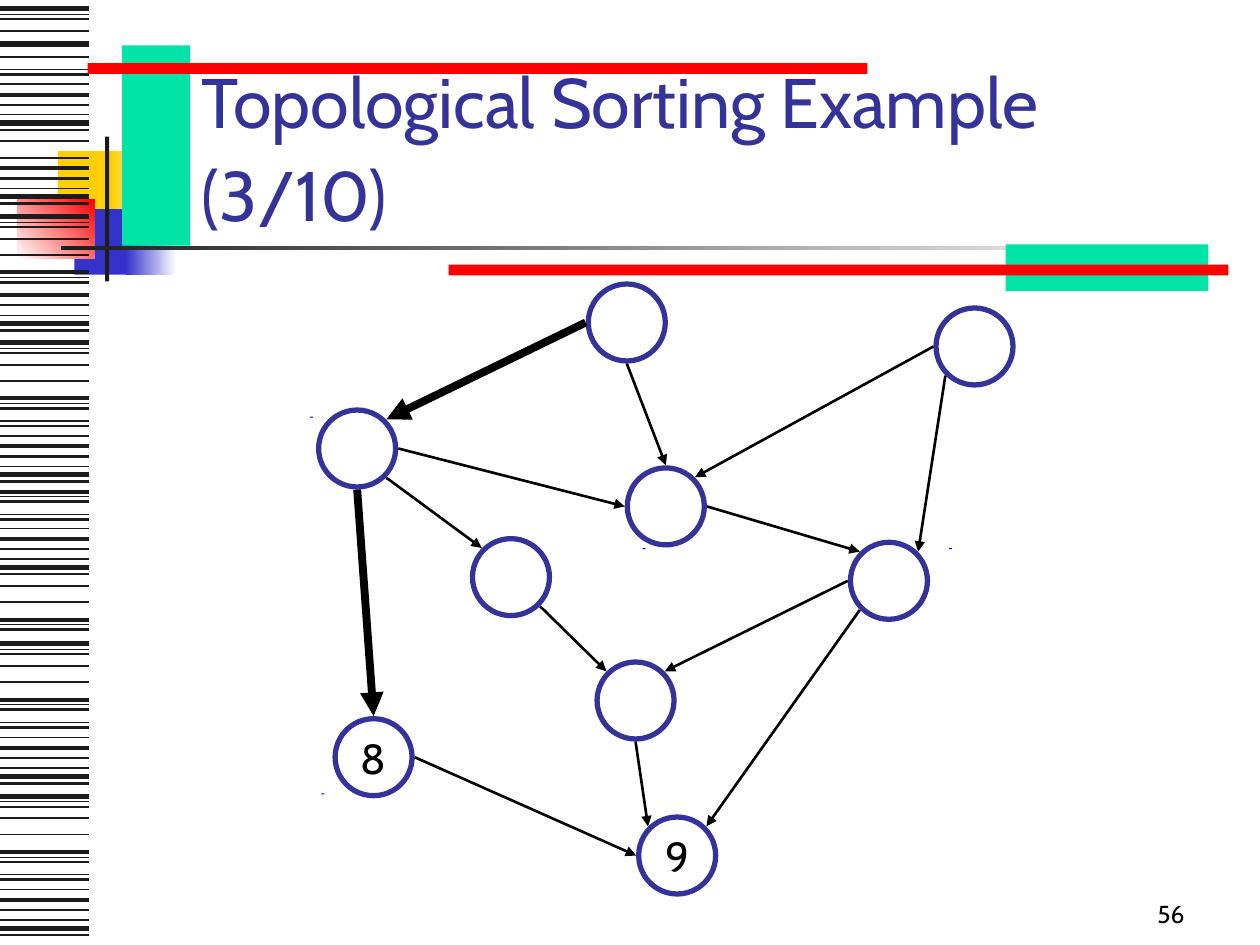
from lxml import etree
from pptx import Presentation, util as u
from pptx.dml.color import RGBColor
from pptx.enum import shapes, text
from pptx.oxml.ns import qn

FONT, INK, BLUE, GREEN, RED = "Cabin", "1C1C1C", "333399", "00E4A8", "FF0000"
SIZE, REACH = 44, 23.5  # node width; distance from node centre to arrow end

# Stripe patterns: (offset, weight)
LONG = [(0, 3), (3.2, 0.75), (6, 1), (12.6, 1), (21.8, 1), (31.9, 2.25),
        (34.8, 0.75), (37.6, 1.5), (44.8, 0.75), (47.7, 1.5)]
SHORT = [(0, 1), (5.9, 2.25), (11.7, 1.5), (17.4, 0.75), (22.1, 3), (26.1, 1.5)]
# Runs of stripes: (top, part of a pattern)
BARS = [(-5, LONG[7:]), (5, LONG[:4]), (25.2, LONG[:1]), (48.2, SHORT),
        (80.6, SHORT[:1]), (90.2, SHORT), (123.8, LONG[:8]), (162.7, SHORT[1:]),
        (195.8, LONG), (249.1, SHORT), (249.1, LONG[5:]), (302, SHORT),
        (322.2, LONG[3:8]), (367.9, LONG), (421.5, SHORT), (455, LONG),
        (508.3, SHORT)]

# Node centres and labels
NODES = {
    "top": (358.2, 184.3, ""), "far": (556.9, 198, ""),
    "left": (204.1, 256.3, ""), "mid": (380.5, 289.4, ""),
    "east": (508, 331.9, ""), "inner": (292, 329.8, ""),
    "low": (363.2, 400.3, ""), "eight": (213.5, 432.7, "8"),
    "nine": (387, 488.9, "9"),
}
SIDES = {"n": (0, -1), "s": (0, 1), "w": (-1, 0), "e": (1, 0),
         "nw": (-.71, -.71), "ne": (.71, -.71), "sw": (-.71, .71), "se": (.71, .71)}
# Start node and side, end node and side, weight
EDGES = [
    ("top", "w", "left", "ne", 4.5), ("top", "s", "mid", "n", 1.5),
    ("far", "w", "mid", "ne", 1.5), ("east", "w", "low", "ne", 1.5),
    ("east", "sw", "nine", "ne", 1.5), ("eight", "e", "nine", "w", 1.5),
    ("low", "s", "nine", "nw", 1.5), ("inner", "se", "low", "nw", 1.5),
    ("left", "se", "inner", "nw", 1.5), ("left", "s", "eight", "n", 4.5),
    ("left", "e", "mid", "w", 1.5), ("mid", "e", "east", "nw", 1.5),
    ("far", "sw", "east", "ne", 1.5),
]


def rgb(code):
    return RGBColor.from_string(code)


def site(node, side):
    """Return the point where an arrow meets a node."""
    x, y, _ = NODES[node]
    dx, dy = SIDES[side]
    return x + REACH * dx, y + REACH * dy


class Deck:
    def __init__(self, wide, high):
        self.file = Presentation()
        self.file.slide_width, self.file.slide_height = u.Pt(wide), u.Pt(high)
        self.slide = self.file.slides.add_slide(self.file.slide_layouts[5])
        self.items = self.slide.shapes

    def style(self, par, words, size, color, align):
        par.text, par.alignment = words, align
        par.font.name, par.font.size = FONT, u.Pt(size)
        par.font.color.rgb = rgb(color)

    def shape(self, kind, x, y, w, h, fill):
        item = self.items.add_shape(kind, u.Pt(x), u.Pt(y), u.Pt(w), u.Pt(h))
        item.shadow.inherit = False
        item.fill.solid()
        item.fill.fore_color.rgb = rgb(fill)
        item.line.fill.background()
        return item

    def rect(self, x, y, w, h, fill):
        return self.shape(shapes.MSO_SHAPE.RECTANGLE, x, y, w, h, fill)

    def fade(self, x, y, w, h, start, end, angle=0):
        """Add a rectangle with a two-colour gradient."""
        fill = self.rect(x, y, w, h, start).fill
        fill.gradient()
        fill.gradient_angle = angle
        for stop, color in zip(fill.gradient_stops, (start, end)):
            stop.color.rgb = rgb(color)

    def node(self, x, y, label):
        item = self.shape(shapes.MSO_SHAPE.OVAL, x - SIZE / 2, y - SIZE / 2,
                          SIZE, SIZE, "FFFFFF")
        item.line.color.rgb, item.line.width = rgb(BLUE), u.Pt(3)
        if label:
            frame = item.text_frame
            frame.word_wrap = False
            frame.vertical_anchor = text.MSO_ANCHOR.MIDDLE
            self.style(frame.paragraphs[0], label, 24, "000000", text.PP_ALIGN.CENTER)

    def line(self, start, end, color, width, arrow=False):
        item = self.items.add_connector(
            shapes.MSO_CONNECTOR.STRAIGHT, *(u.Pt(v) for v in (*start, *end)))
        item.line.color.rgb, item.line.width = rgb(color), u.Pt(width)
        props = item._element.spPr
        if arrow:
            etree.SubElement(props.find(qn("a:ln")), qn("a:tailEnd"), type="triangle")
        etree.SubElement(props, qn("a:effectLst"))

    def title(self, words, x, y, w, h):
        item = self.items.title
        item.left, item.top, item.width, item.height = map(u.Pt, (x, y, w, h))
        frame = item.text_frame
        frame.auto_size, frame.word_wrap = text.MSO_AUTO_SIZE.NONE, True
        frame.vertical_anchor = text.MSO_ANCHOR.BOTTOM
        par = frame.paragraphs[0]
        self.style(par, words, 40, BLUE, text.PP_ALIGN.LEFT)
        par.line_spacing = 1.1
        self.items._spTree.append(item._element)  # in front of the decoration

    def number(self, words, x, y, w, h):
        frame = self.items.add_textbox(*map(u.Pt, (x, y, w, h))).text_frame
        frame.word_wrap = True
        frame.vertical_anchor = text.MSO_ANCHOR.BOTTOM
        self.style(frame.paragraphs[0], words, 14, "000000", text.PP_ALIGN.RIGHT)


def main():
    deck = Deck(720, 540)

    deck.rect(33.1, 86.4, 34.6, 37.4, "FFCF01")
    deck.fade(63.4, 86.4, 25.9, 37.4, "FFCF01", "FFFFFF")
    deck.rect(42.5, 119.5, 33.1, 37.4, "3333CC")
    deck.fade(72, 119.5, 28.8, 37.4, "3333CC", "FFFFFF")
    deck.fade(10, 114, 44, 33.5, "FFFFFF", RED, 45)
    deck.rect(60, 78, 2.4, 82.8, INK)
    deck.fade(34.8, 140.6, 648, 2.4, INK, "FFFFFF")
    for top, bars in BARS:
        for step, width in bars:
            deck.line((0, top + step), (51.1, top + step), INK, width)
    deck.rect(69.8, 25.9, 38.9, 114.5, GREEN)
    deck.rect(50, 36, 445.7, 6.2, RED)
    deck.rect(574.6, 139.7, 115.9, 26.6, GREEN)
    deck.rect(256.3, 151.2, 445.7, 6.2, RED)

    deck.number("56", 534.2, 498.2, 149.8, 36)
    deck.title("Topological Sorting Example (3/10)", 108, 48, 558, 90)

    for x, y in ((177.1, 238.1), (367.2, 313.2), (542.2, 313.2), (183.6, 453.4)):
        deck.rect(x, y, 1.8, 0.6, "0000FF")
    for x, y, label in NODES.values():
        deck.node(x, y, label)
    for start, out, end, into, width in EDGES:
        deck.line(site(start, out), site(end, into), "000000", width, arrow=True)

    deck.file.save("out.pptx")


if __name__ == "__main__":
    main()
